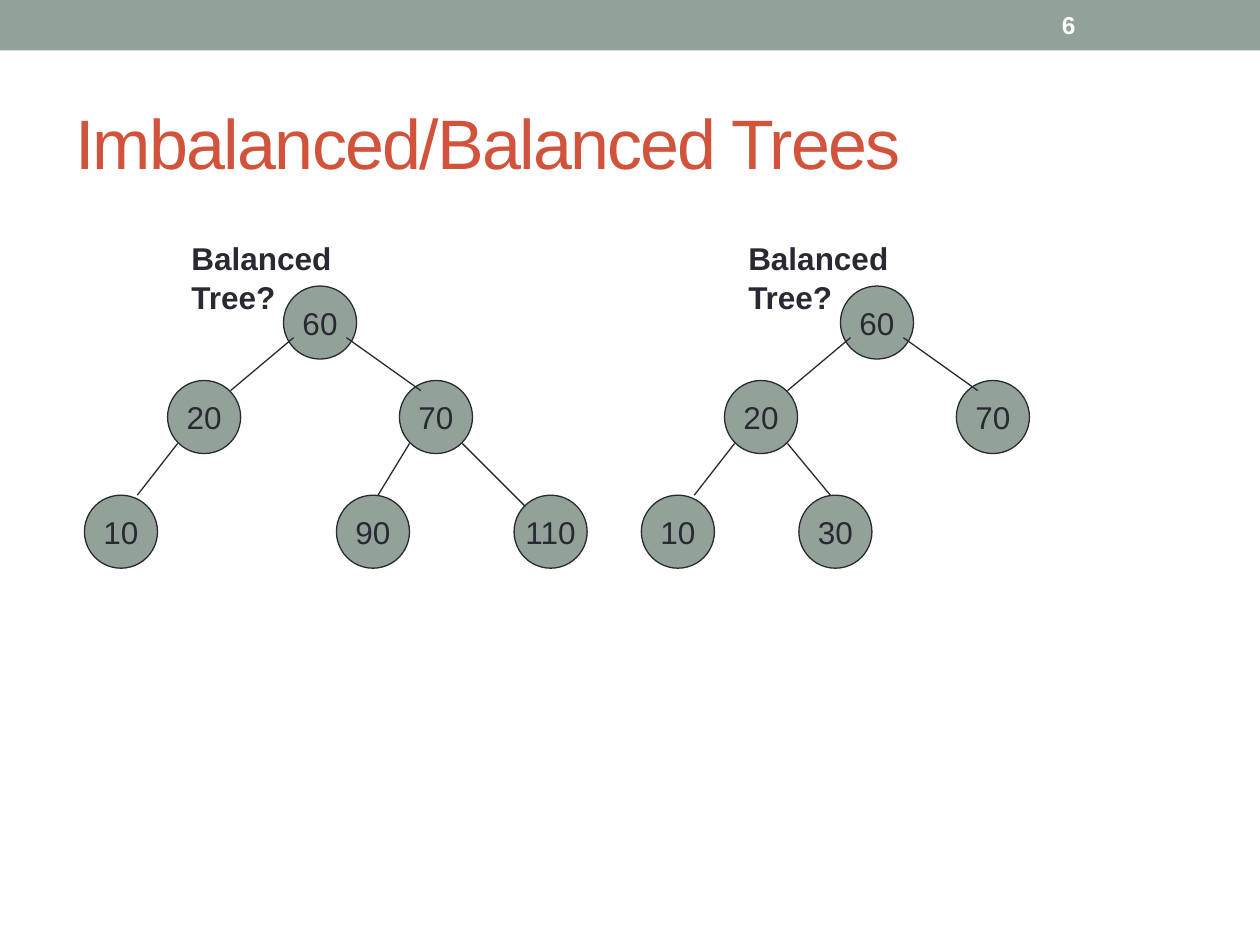
from pptx import Presentation
from pptx.dml.color import RGBColor
from pptx.enum import shapes, text
from pptx.oxml.ns import qn
from pptx.util import Inches, Pt

SAGE = RGBColor(0x93, 0xA2, 0x99)
INK = RGBColor(0x29, 0x29, 0x34)
RUST = RGBColor(0xD2, 0x53, 0x3C)
WHITE = RGBColor(0xFF, 0xFF, 0xFF)

NODE_SIZE = 0.58
ROOT, MIDDLE, LEAF = 0, 0.75, 1.66  # tops of the tree levels

# Nodes: label -> left, top. Edges: parent, child, end point inside the child's box.
FIRST_NODES = {"70": (2.5, MIDDLE), "60": (1.58, ROOT), "90": (2, LEAF),
               "10": (0, LEAF), "20": (0.66, MIDDLE), "110": (3.41, LEAF)}
FIRST_EDGES = [("60", "20", (0.5, 0.08)), ("60", "70", (0.17, 0.08)),
               ("20", "10", (0.42, 0)), ("70", "110", (0.09, 0.09)),
               ("70", "90", (0.33, 0))]
SECOND_NODES = {"70": (2.5, MIDDLE), "60": (1.58, ROOT), "30": (1.25, LEAF),
                "10": (0, LEAF), "20": (0.66, MIDDLE)}
SECOND_EDGES = [("60", "20", (0.5, 0.08)), ("60", "70", (0.17, 0.08)),
                ("20", "10", (0.42, 0)), ("20", "30", (0.25, 0))]


def write_text(shape, content, size=18, color=INK, bold=False, wrap=True,
               align=text.PP_ALIGN.LEFT, anchor=text.MSO_ANCHOR.MIDDLE,
               tracking=0, line_spacing=None):
    """Fill the shape with one formatted paragraph; tracking is in points."""
    frame = shape.text_frame
    frame.word_wrap = wrap
    frame.vertical_anchor = anchor
    paragraph = frame.paragraphs[0]
    paragraph.alignment = align
    if line_spacing:
        paragraph.line_spacing = line_spacing
    run = paragraph.add_run()
    run.text = content
    run.font.name = "Arial"
    run.font.size = Pt(size)
    run.font.bold = bold
    run.font.color.rgb = color
    if tracking:
        run.font._element.set("spc", str(tracking * 100))


def add_text(slide, left, top, width, height, content, **style):
    box = slide.shapes.add_textbox(Inches(left), Inches(top), Inches(width), Inches(height))
    write_text(box, content, **style)


def add_header(slide, left, top, width):
    band = slide.shapes.add_shape(shapes.MSO_SHAPE.RECTANGLE, Inches(left), Inches(top),
                                  Inches(width), Inches(0.4))
    band.shadow.inherit = False
    band.fill.solid()
    band.fill.fore_color.rgb = SAGE
    band.line.fill.background()
    add_text(slide, left + 0.5, top + 0.58, width - 1, 1.08, "Imbalanced/Balanced Trees",
             size=40, color=RUST, tracking=-1)
    add_text(slide, left + 8.33, top + 0.02, 1.17, 0.36, "6", size=14, color=WHITE, bold=True)


def add_node(group, left, top, label):
    node = group.shapes.add_shape(shapes.MSO_SHAPE.OVAL, Inches(left), Inches(top),
                                  Inches(NODE_SIZE), Inches(NODE_SIZE))
    node.shadow.inherit = False
    node.fill.solid()
    node.fill.fore_color.rgb = SAGE
    node.line.color.rgb = INK
    node.line.width = Pt(0.75)
    write_text(node, label, wrap=False, align=text.PP_ALIGN.CENTER)


def add_edge(group, start, end):
    edge = group.shapes.add_connector(shapes.MSO_CONNECTOR.STRAIGHT,
                                      *(Inches(value) for value in (*start, *end)))
    edge.line.color.rgb = INK
    edge.line.width = Pt(0.75)
    properties = edge._element.spPr
    properties.append(properties.makeelement(qn("a:effectLst"), {}))


def add_tree(slide, left, top, nodes, edges):
    """Draw a captioned tree; top is the top of the caption."""
    root_top = top + 0.44
    group = slide.shapes.add_group_shape()
    for label, (x, y) in nodes.items():
        add_node(group, left + x, root_top + y, label)
    for parent, child, (end_x, end_y) in edges:
        parent_x, parent_y = nodes[parent]
        child_x, child_y = nodes[child]
        start_x = parent_x + (0.08 if child_x < parent_x else 0.5)
        start_y = parent_y + (0.41 if parent_y == ROOT else 0.5)
        add_edge(group, (left + start_x, root_top + start_y),
                 (left + child_x + end_x, root_top + child_y + end_y))
    add_text(slide, left + 0.75, top, 2.02, 0.4, "Balanced Tree?", bold=True,
             anchor=text.MSO_ANCHOR.TOP, line_spacing=1.05)


def main():
    presentation = Presentation()
    presentation.slide_width = Inches(10)
    presentation.slide_height = Inches(7.5)
    slide = presentation.slides.add_slide(presentation.slide_layouts[6])
    add_header(slide, 0, 0, 10)
    add_tree(slide, 5.09, 1.83, SECOND_NODES, SECOND_EDGES)
    add_tree(slide, 0.67, 1.83, FIRST_NODES, FIRST_EDGES)
    presentation.save("out.pptx")


if __name__ == "__main__":
    main()
